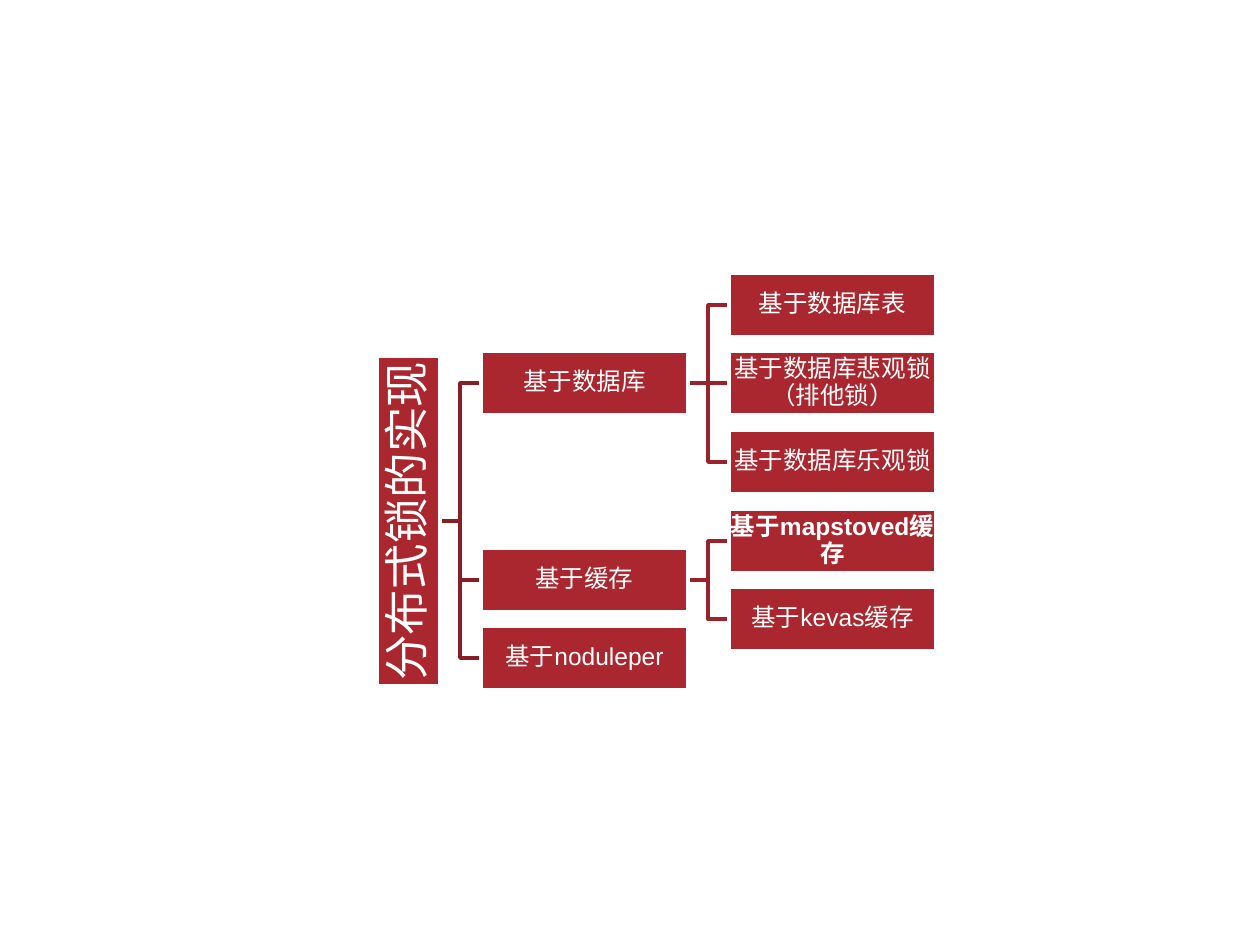
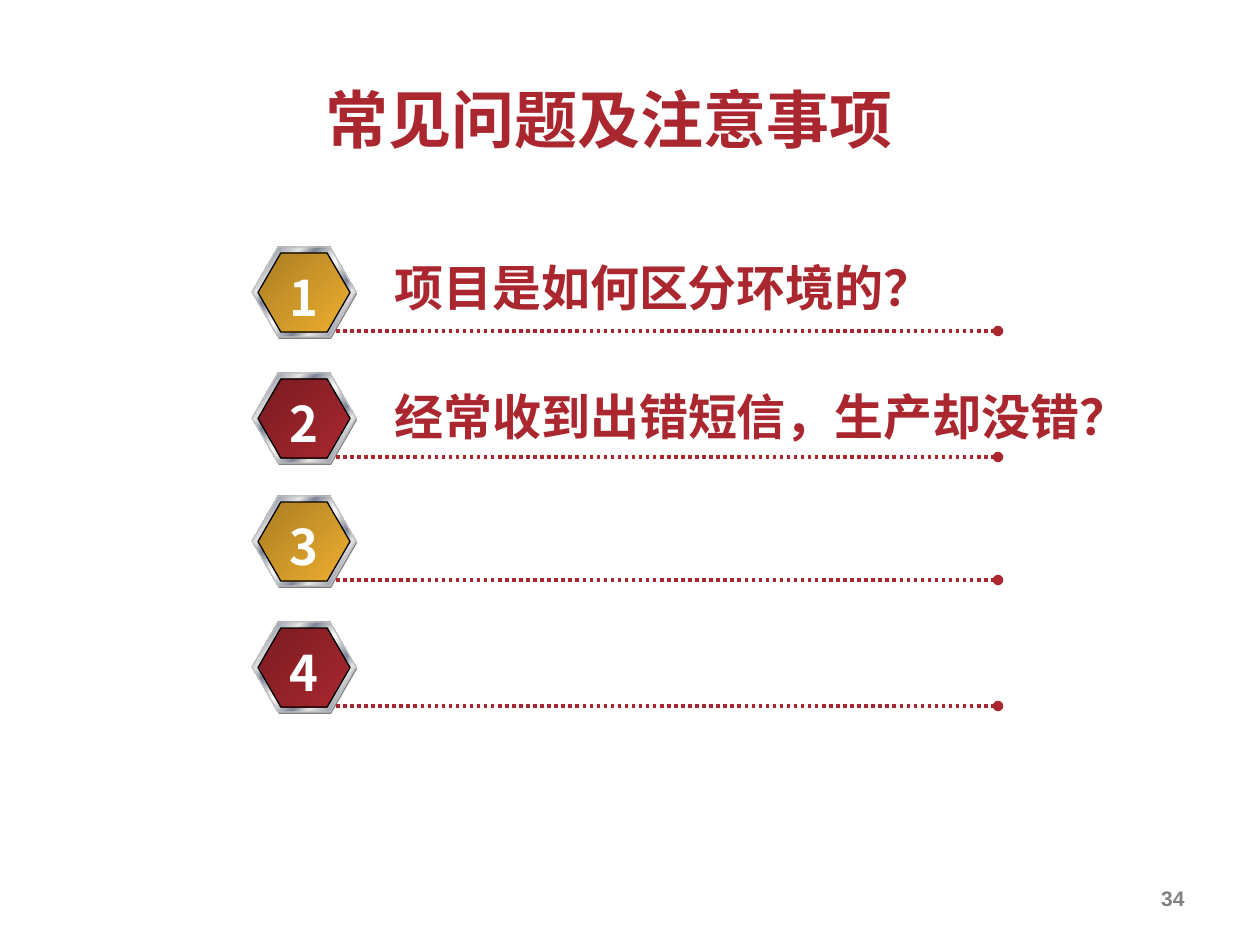
from dataclasses import dataclass
from typing import Any

from lxml.etree import SubElement as Sub
from pptx import Presentation
from pptx.dml.color import RGBColor
from pptx.enum.dml import MSO_LINE as Dash
from pptx.enum.shapes import MSO_CONNECTOR as Conn, MSO_SHAPE as Kind
from pptx.enum.text import MSO_ANCHOR as Anchor, PP_ALIGN as Align
from pptx.oxml.ns import qn
from pptx.util import Emu, Pt

# Shared look
RED, WHITE, GREY, BLACK = "AA272F", "FFFFFF", "808080", "000000"
SILVER, LIGHT, STEEL = "C0C0C0", "E6E6E6", "7D8496"
GOLD = [(0, "AA7D22"), (100, "EEAF30")]
WINE = [(0, "7A1C22"), (100, RED)]
CHROME = [(0, LIGHT), (8, STEEL), (26, LIGHT), (34, STEEL), (46, LIGHT), (50, WHITE),
          (54, LIGHT), (66, STEEL), (74, LIGHT), (92, STEEL), (100, LIGHT)]
LATIN, HAN = "Arial", "Noto Sans CJK SC"

# Tree grid
BOX_W, BOX_H, GAP, TOP, STEP = 207, 63, 41, 274, 78.5
COLS = (377, 481, 729)
ROOT_W = 330


def px(n: float) -> Emu:
    return Emu(round(n * 914400 / 126))


def rgb(code: str) -> RGBColor:
    return RGBColor.from_string(code)


def assign(item: Any, values: dict[str, Any]) -> None:
    for name, value in values.items():
        setattr(item, name, value)


def write(shape: Any, text: str, size: int, color: str, font: str = LATIN,
          bold: bool = False, align: Any = Align.CENTER, **frame: Any) -> None:
    body = shape.text_frame
    assign(body, frame)
    para = body.paragraphs[0]
    para.alignment = align
    run = para.add_run()
    run.text = text
    assign(run.font, {"size": Pt(size), "name": font, "bold": bold})
    run.font.color.rgb = rgb(color)
    if font == HAN:
        Sub(run.font._element, qn("a:ea"), typeface=font)


def stroke(line: Any, color: str, width: float) -> None:
    line.color.rgb = rgb(color)
    line.width = Pt(width)


def shade(shape: Any, stops: list[tuple[int, str]]) -> None:
    shape.fill.gradient()
    shape.fill.gradient_angle = 315
    items = shape._element.spPr.find(qn("a:gradFill")).find(qn("a:gsLst"))
    for old in list(items):
        items.remove(old)
    for place, color in stops:
        stop = Sub(items, qn("a:gs"), pos=str(place * 1000))
        Sub(stop, qn("a:srgbClr"), val=color)


def block(slide: Any, kind: Any, x: float, y: float, w: float, h: float) -> Any:
    shape = slide.shapes.add_shape(kind, px(x), px(y), px(w), px(h))
    shape.shadow.inherit = False
    return shape


def label(slide: Any, x: int, y: int, w: int, h: int, text: str, size: int,
          color: str, **style: Any) -> None:
    box = slide.shapes.add_textbox(px(x), px(y), px(w), px(h))
    write(box, text, size, color, **style)


def wire(slide: Any, x1: int, y1: float, x2: int, y2: float, color: str) -> Any:
    line = slide.shapes.add_connector(Conn.STRAIGHT, px(x1), px(y1), px(x2), px(y2))
    stroke(line.line, color, 2)
    Sub(line._element.spPr, qn("a:effectLst"))
    return line


# Tree of lock types
@dataclass
class Node:
    text: str
    col: int
    row: float
    kids: tuple["Node", ...] = ()
    bold: bool = False

    @property
    def mid(self) -> int:
        return TOP + round(self.row * STEP) + BOX_H // 2

    @property
    def right(self) -> int:
        return COLS[self.col] + (BOX_W if self.col else BOX_H)


TREE = Node("分布式锁的实现", 0, 2.75, (
    Node("基于数据库", 1, 1, (
        Node("基于数据库表", 2, 0),
        Node("基于数据库悲观锁（排他锁）", 2, 1),
        Node("基于数据库乐观锁", 2, 2))),
    Node("基于缓存", 1, 3.5, (
        Node("基于mapstoved缓存", 2, 3, bold=True),
        Node("基于kevas缓存", 2, 4))),
    Node("基于noduleper", 1, 4.5)))


def link(slide: Any, node: Node, kid: Node, start: Any, end: Any) -> None:
    color = "9A232B" if node.col else "881F26"
    left, right = node.right, COLS[kid.col]
    if node.mid == kid.mid:
        shape = wire(slide, left, node.mid, right, kid.mid, color)
        shape.begin_connect(start, 3)
        shape.end_connect(end, 1)
    else:
        bend = left + GAP // 2
        pen = slide.shapes.build_freeform(px(left), px(node.mid), scale=1.0)
        turns = [(bend, node.mid), (bend, kid.mid), (right, kid.mid)]
        pen.add_line_segments([(px(x), px(y)) for x, y in turns], close=False)
        shape = pen.convert_to_shape()
        shape.shadow.inherit = False
        shape.fill.background()
        stroke(shape.line, color, 2)
    # Links lie behind the boxes
    slide.shapes._spTree.insert(2, shape._element)


def grow(slide: Any, node: Node) -> Any:
    wide = BOX_W if node.col else ROOT_W
    mid = (COLS[node.col] + node.right) / 2
    box = block(slide, Kind.RECTANGLE, mid - wide / 2, node.mid - BOX_H / 2, wide, BOX_H)
    box.rotation = 0 if node.col else 270
    box.fill.solid()
    box.fill.fore_color.rgb = rgb(RED)
    stroke(box.line, WHITE, 2)
    pad = px(1 if node.col else 2)
    write(box, node.text, 14 if node.col else 26, WHITE, bold=node.bold,
          word_wrap=True, vertical_anchor=Anchor.MIDDLE, margin_left=pad,
          margin_right=pad, margin_top=pad, margin_bottom=pad)
    box.text_frame.paragraphs[0].line_spacing = 0.9
    for kid in node.kids:
        link(slide, node, kid, box, grow(slide, kid))
    return box


# Numbered questions
@dataclass
class Item:
    top: int
    text: str = ""
    drop: int = 0


ITEMS = [Item(247, "项目是如何区分环境的？", 4),
         Item(373, "经常收到出错短信，生产却没错？", 7),
         Item(496), Item(622)]


def hexa(slide: Any, x: int, y: int, w: int, h: int) -> Any:
    shape = block(slide, Kind.HEXAGON, x, y, w, h)
    shape.adjustments[0], shape.adjustments[1] = 0.289, 1.155
    return shape


def entry(slide: Any, num: int, item: Item) -> None:
    top = item.top
    base = hexa(slide, 253, top + 2, 104, 90)
    base.fill.solid()
    base.fill.fore_color.rgb = rgb(GREY)
    base.line.fill.background()
    ring = hexa(slide, 252, top, 104, 90)
    shade(ring, CHROME)
    stroke(ring.line, SILVER, 0.75)
    core = hexa(slide, 258, top + 6, 92, 79)
    shade(core, GOLD if num % 2 else WINE)
    stroke(core.line, BLACK, 0.75)

    rule = wire(slide, 336, top + 84, 998, top + 84, RED)
    rule.line.dash_style = Dash.ROUND_DOT
    Sub(rule.line._ln, qn("a:tailEnd"), type="oval")

    style = {"font": HAN, "bold": True, "word_wrap": False}
    if item.text:
        wide = 49 * len(item.text) + 32
        label(slide, 378, top + item.drop, wide, 72, item.text, 28, RED, **style)
    label(slide, 276, top + 14, 55, 72, str(num), 28, WHITE, **style)


def main() -> None:
    deck = Presentation()
    assign(deck, {"slide_width": px(1260), "slide_height": px(945)})

    grow(deck.slides.add_slide(deck.slide_layouts[6]), TREE)

    slide = deck.slides.add_slide(deck.slide_layouts[5])
    title = slide.shapes.title
    assign(title, {"left": px(310), "top": px(74), "width": px(599), "height": px(89)})
    write(title, "常见问题及注意事项", 36, RED, font=HAN, bold=True,
          word_wrap=False, vertical_anchor=Anchor.TOP)
    for num, item in enumerate(ITEMS, 1):
        entry(slide, num, item)
    label(slide, 1134, 879, 63, 66, "34", 12, GREY, bold=True,
          align=Align.RIGHT, word_wrap=True)

    deck.save("out.pptx")


if __name__ == "__main__":
    main()
